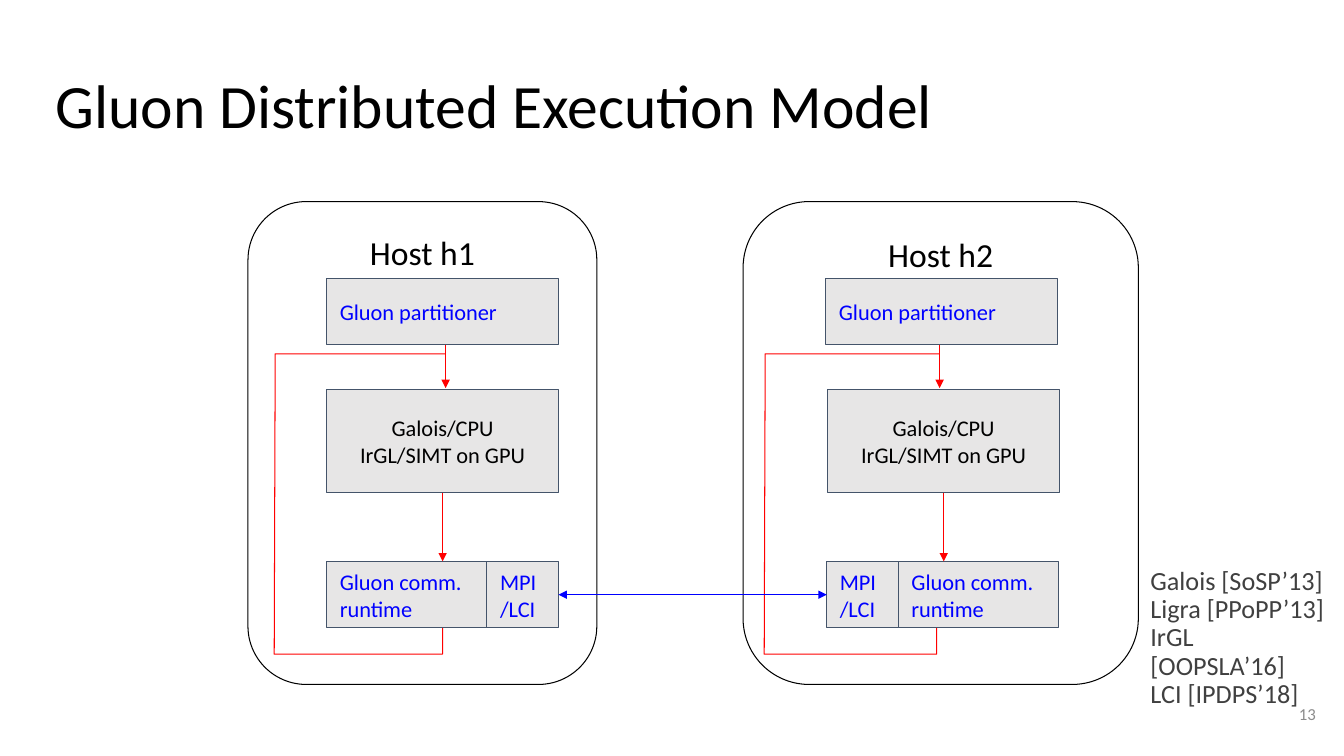
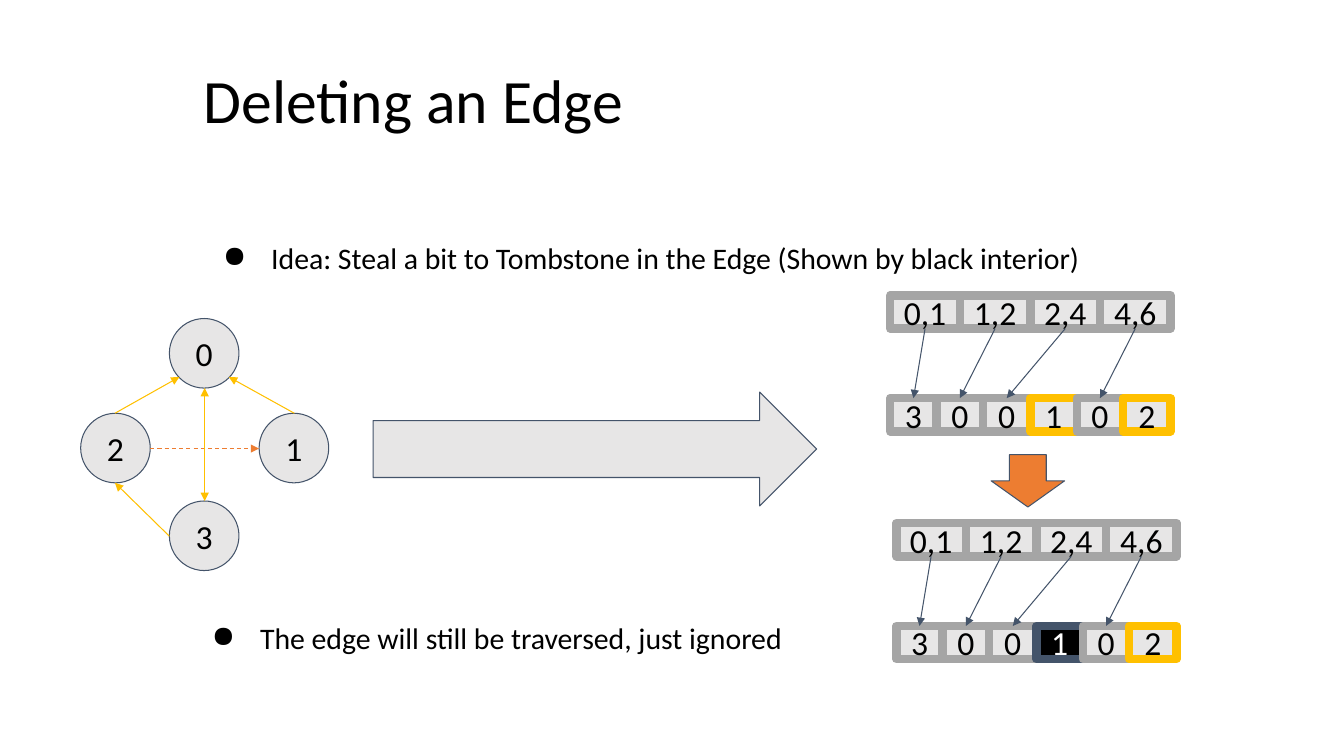
from lxml import etree
from pptx import Presentation, util as u
from pptx.dml.color import RGBColor
from pptx.enum import dml, shapes, text
from pptx.oxml.ns import qn

SCALE = 9144
FONT = "Calibri"
COLORS = {
    "black": "000000",
    "white": "FFFFFF",
    "panel": "E7E6E6",
    "outline": "44546A",
    "red": "FF0000",
    "blue": "0000FF",
    "gray": "A5A5A5",
    "gold": "FFC000",
    "orange": "ED7D31",
    "reference": "404040",
    "number": "8C8C8C",
}
SHAPE = shapes.MSO_SHAPE
ALIGN = text.PP_ALIGN
ANCHOR = text.MSO_ANCHOR


def px(value):
    return u.Emu(value * SCALE)


def color(name):
    return RGBColor.from_string(COLORS[name])


def write(shape, content, size, ink="black", align=ALIGN.LEFT, anchor=ANCHOR.TOP,
          inset=13, wrap=True, spacing=None):
    frame = shape.text_frame
    frame.text = content
    frame.word_wrap = wrap
    frame.vertical_anchor = anchor
    frame.margin_left = frame.margin_right = px(inset)
    frame.margin_top = frame.margin_bottom = px(inset)
    for paragraph in frame.paragraphs:
        paragraph.alignment = align
        if spacing:
            paragraph.line_spacing = spacing
        for run in paragraph.runs:
            run.font.name = FONT
            run.font.size = u.Pt(size)
            run.font.color.rgb = color(ink)


def indent(shape, left, first=0, bullet=None):
    for paragraph in shape.text_frame.paragraphs:
        properties = paragraph._p.get_or_add_pPr()
        properties.set("marL", str(px(left)))
        properties.set("indent", str(px(first)))
        if bullet:
            etree.SubElement(properties, qn("a:buChar"), char=bullet)


def add_text(slide, box, content, size, **style):
    shape = slide.shapes.add_textbox(*map(px, box))
    write(shape, content, size, **style)
    return shape


def add_title(slide, box, content, inset):
    add_text(slide, box, content, 44, inset=inset, spacing=0.9)


def add_bullet(slide, box, content):
    shape = add_text(slide, box, content, 21.3, spacing=0.9)
    indent(shape, 67, -48, "●")


def add_block(slide, kind, box, fill="panel", line="outline", width=0.75):
    shape = slide.shapes.add_shape(kind, *map(px, box))
    shape.shadow.inherit = False
    if fill:
        shape.fill.solid()
        shape.fill.fore_color.rgb = color(fill)
    else:
        shape.fill.background()
    shape.line.color.rgb = color(line)
    shape.line.width = u.Pt(width)
    return shape


def add_label_block(slide, box, content, ink="blue", align=ALIGN.LEFT):
    shape = add_block(slide, SHAPE.RECTANGLE, box)
    write(shape, content, 16, ink, align, ANCHOR.MIDDLE)
    return shape


def add_arrow(slide, start, end, ink, both=False, dashed=False):
    connector = slide.shapes.add_connector(
        shapes.MSO_CONNECTOR.STRAIGHT, *map(px, start + end))
    connector.line.color.rgb = color(ink)
    connector.line.width = u.Pt(0.75)
    if dashed:
        connector.line.dash_style = dml.MSO_LINE.DASH
    line = connector.line._get_or_add_ln()
    if both:
        etree.SubElement(line, qn("a:headEnd"), type="triangle")
    etree.SubElement(line, qn("a:tailEnd"), type="triangle")
    etree.SubElement(connector._element.spPr, qn("a:effectLst"))
    return connector


def add_loop(slide, points):
    start, *rest = [tuple(map(px, point)) for point in points]
    builder = slide.shapes.build_freeform(*start, scale=1.0)
    builder.add_line_segments(rest, close=False)
    shape = builder.convert_to_shape()
    shape.shadow.inherit = False
    shape.fill.background()
    shape.line.color.rgb = color("red")
    shape.line.width = u.Pt(0.75)


def add_host(slide, name, frame, partitioner, engine, runtime, network, loop):
    host = add_block(slide, SHAPE.ROUNDED_RECTANGLE, frame, None, "black")
    host.adjustments[0] = 0.167
    write(host, name, 24, align=ALIGN.CENTER)
    loop_left, loop_foot, entry = loop
    add_loop(slide, [(loop_foot, 622), (loop_foot, 649), (loop_left, 649),
                     (loop_left + 1, 351), (entry, 351)])
    add_label_block(slide, (partitioner, 276, 230, 66), "Gluon partitioner")
    engine_block = add_label_block(
        slide, (engine, 386, 230, 103), "Galois/CPU\nIrGL/SIMT on GPU",
        "black", ALIGN.CENTER)
    add_label_block(slide, (runtime, 557, 159, 66), "Gluon comm. runtime")
    network_block = add_label_block(slide, (network, 557, 71, 66), "MPI\n/LCI")
    add_arrow(slide, (entry, 342), (entry, 385), "red")
    center = engine + 115
    down = add_arrow(slide, (center, 489), (center, 557), "red")
    down.begin_connect(engine_block, 2)
    return network_block


def build_execution_model(slide):
    add_title(slide, (45, 65, 1242, 103), "Gluon Distributed Execution Model", 10)
    first = add_host(slide, "Host h1", (246, 200, 346, 479),
                     324, 324, 324, 483, (272, 439, 442))
    second = add_host(slide, "Host h2", (737, 200, 392, 479),
                      819, 821, 891, 820, (758, 929, 932))
    link = add_arrow(slide, (820, 590), (554, 590), "blue", both=True)
    link.begin_connect(second, 1)
    link.end_connect(first, 3)
    references = add_text(
        slide, (1111, 550, 222, 129),
        "Galois [SoSP’13]\nLigra [PPoPP’13]\nIrGL [OOPSLA’16]\nLCI [IPDPS’18]",
        18.7, ink="reference", wrap=False, spacing=0.9)
    indent(references, 17)
    add_text(slide, (1235, 680, 80, 57), "13", 12, ink="number",
             align=ALIGN.RIGHT, anchor=ANCHOR.MIDDLE, inset=10)


def add_node(slide, left, top, name):
    node = add_block(slide, SHAPE.OVAL, (left, top, 69, 69))
    write(node, name, 24, align=ALIGN.CENTER, anchor=ANCHOR.MIDDLE)


def add_cells(slide, left, top, entries):
    styles = {
        "plain": ("panel", "gray", "black"),
        "marked": ("panel", "gold", "black"),
        "deleted": ("black", "outline", "white"),
    }
    edges = [left + 278 * index // len(entries) for index in range(len(entries) + 1)]
    cells = []
    for (value, style), start, end in zip(entries, edges, edges[1:]):
        fill, line, ink = styles[style]
        cell = add_block(slide, SHAPE.RECTANGLE, (start, top, end - start, 33),
                         fill, line, 6)
        write(cell, value, 24, ink, ALIGN.CENTER, ANCHOR.MIDDLE, wrap=False)
        cells.append(cell)
    return cells


def add_edge_array(slide, left, top, edge_style):
    ranges = [(value, "plain") for value in ("0,1", "1,2", "2,4", "4,6")]
    targets = [("3", "plain"), ("0", "plain"), ("0", "plain"),
               ("1", edge_style), ("0", "plain"), ("2", "marked")]
    target_cells = add_cells(slide, left, top + 102, targets)
    range_cells = add_cells(slide, left, top, ranges)
    for cell, target in zip(range_cells, (0, 1, 2, 4)):
        pointer = add_arrow(slide, (left, top), (left, top + 102), "outline")
        pointer.begin_connect(cell, 2)
        pointer.end_connect(target_cells[target], 0)


def build_edge_deletion(slide):
    add_title(slide, (189, 57, 1026, 133), "Deleting an Edge", 13)
    add_bullet(slide, (189, 229, 1026, 64),
               "Idea: Steal a bit to Tombstone in the Edge (Shown by black interior)")
    for left, top, name in ((168, 316, "0"), (80, 410, "2"),
                            (257, 410, "1"), (168, 497, "3")):
        add_node(slide, left, top, name)
    for start, end in (((114, 410), (178, 374)), ((168, 532), (114, 479)),
                       ((292, 410), (227, 374))):
        add_arrow(slide, start, end, "gold")
    add_arrow(slide, (149, 445), (257, 445), "orange", dashed=True)
    add_arrow(slide, (203, 385), (203, 497), "gold", both=True)
    add_block(slide, SHAPE.RIGHT_ARROW, (370, 389, 440, 113))
    add_edge_array(slide, 883, 293, "marked")
    add_edge_array(slide, 889, 519, "deleted")
    add_bullet(slide, (178, 606, 1026, 144),
               "The edge will still be traversed, just ignored")
    add_block(slide, SHAPE.DOWN_ARROW, (983, 451, 73, 52), "orange")


def main():
    presentation = Presentation()
    presentation.slide_width = px(1333)
    presentation.slide_height = px(750)
    for build in (build_execution_model, build_edge_deletion):
        build(presentation.slides.add_slide(presentation.slide_layouts[6]))
    presentation.save("out.pptx")


if __name__ == "__main__":
    main()
